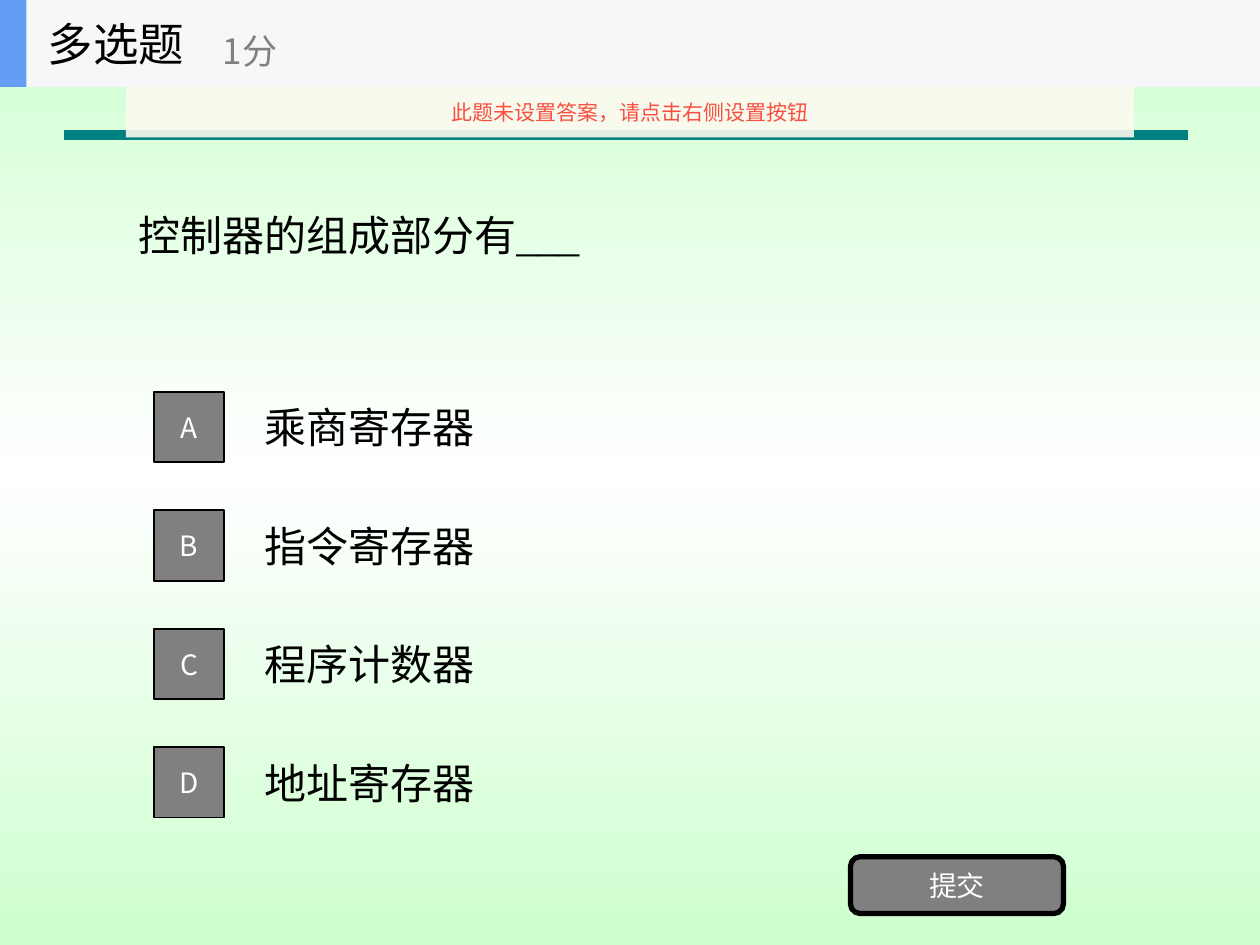
from copy import deepcopy

from lxml import etree
from pptx import Presentation
from pptx.dml.color import RGBColor
from pptx.enum import shapes, text
from pptx.oxml.ns import qn
from pptx.util import Inches, Pt

# Content
TITLE, SCORE = "多选题", "1分"
WARNING = "此题未设置答案，请点击右侧设置按钮"
QUESTION = "控制器的组成部分有___"
OPTIONS = [("A", "乘商寄存器"), ("B", "指令寄存器"),
           ("C", "程序计数器"), ("D", "地址寄存器")]
SUBMIT = "提交"

SANS, SERIF = "Noto Sans CJK SC", "Times New Roman"
BLACK = RGBColor(0x00, 0x00, 0x00)
WHITE = RGBColor(0xFF, 0xFF, 0xFF)
GRAY = RGBColor(0x80, 0x80, 0x80)
GREEN = RGBColor(0xCD, 0xFF, 0xCE)
TEAL = RGBColor(0x00, 0x80, 0x80)
HEADER = RGBColor(0xF6, 0xF7, 0xF8)
BLUE = RGBColor(0x63, 0x9E, 0xF4)
CREAM = RGBColor(0xFB, 0xFA, 0xEF)
RED = RGBColor(0xF8, 0x4F, 0x41)

RECT = shapes.MSO_SHAPE.RECTANGLE
ROUNDED = shapes.MSO_SHAPE.ROUNDED_RECTANGLE
LEFT, CENTER = text.PP_ALIGN.LEFT, text.PP_ALIGN.CENTER

HEADER_H = 0.69
OPTION_TOP, OPTION_STEP, OPTION_H = 3.04, 0.94, 0.7
BADGE = 0.56


def write(shape, words, size, color, font=SANS, align=LEFT):
    frame = shape.text_frame
    frame.text = words
    frame.word_wrap = True
    frame.vertical_anchor = text.MSO_ANCHOR.MIDDLE
    paragraph = frame.paragraphs[0]
    paragraph.alignment = align
    run = paragraph.runs[0]
    run.font.size = Pt(size)
    run.font.name = font
    run.font.color.rgb = color
    east_asian = etree.SubElement(run.font._element, qn("a:ea"))
    east_asian.set("typeface", SANS)


def add_label(parent, box, *style):
    write(parent.add_textbox(*map(Inches, box)), *style)


def add_block(parent, box, fill, kind=RECT, border=None):
    block = parent.add_shape(kind, *map(Inches, box))
    block.shadow.inherit = False
    block.fill.solid()
    block.fill.fore_color.rgb = fill
    if border:
        block.line.color.rgb = BLACK
        block.line.width = Pt(border)
    else:
        block.line.fill.background()
    return block


prs = Presentation()
prs.slide_width, prs.slide_height = Inches(10), Inches(7.5)
slide = prs.slides.add_slide(prs.slide_layouts[6])
canvas = slide.shapes

# Background: green fading to white in the middle
backdrop = slide.background.fill
backdrop.gradient()
backdrop.gradient_angle = 90
stop_list = slide._element.find(".//" + qn("a:gsLst"))
stop_list.append(deepcopy(stop_list[-1]))
for stop, position, color in zip(backdrop.gradient_stops, (0, 0.5, 1),
                                 (GREEN, WHITE, GREEN)):
    stop.position = position
    stop.color.rgb = color

# Rule under the header
rule = canvas.add_connector(shapes.MSO_CONNECTOR.STRAIGHT, Inches(0.51),
                            Inches(1.07), Inches(9.43), Inches(1.07))
rule.line.color.rgb = TEAL
rule.line.width = Pt(6)
etree.SubElement(rule._element.spPr, qn("a:effectLst"))

# Question and options
add_label(canvas, (1, HEADER_H, 8, 2.34), QUESTION, 24, BLACK, SERIF)
for row, (letter, answer) in enumerate(OPTIONS):
    top = OPTION_TOP + row * OPTION_STEP
    add_label(canvas, (2, top, 7, OPTION_H), answer, 24, BLACK, SERIF)
    badge_top = top + (OPTION_H - BADGE) / 2
    badge = add_block(canvas, (1.22, badge_top, BADGE, BADGE), GRAY, border=1)
    write(badge, letter, 16, WHITE, align=CENTER)

# Submit button
submit = add_block(canvas, (6.75, 6.8, 1.69, 0.45), GRAY, ROUNDED, border=3)
write(submit, SUBMIT, 16, WHITE, align=CENTER)

# Header group
header = canvas.add_group_shape().shapes
add_block(header, (0, 0, 10, HEADER_H), HEADER)
add_block(header, (0, 0, 0.21, HEADER_H), BLUE)
add_label(header, (0.28, 0, 2.08, HEADER_H), TITLE, 26, BLACK)
add_label(header, (1.67, 0.12, 2.5, 0.56), SCORE, 20, GRAY)

# Translucent warning banner
banner = add_block(canvas, (1, HEADER_H, 8, 0.4), CREAM)
banner_color = banner._element.spPr.find(".//" + qn("a:srgbClr"))
etree.SubElement(banner_color, qn("a:alpha")).set("val", "90000")
write(banner, WARNING, 12, RED, align=CENTER)

prs.save("out.pptx")
